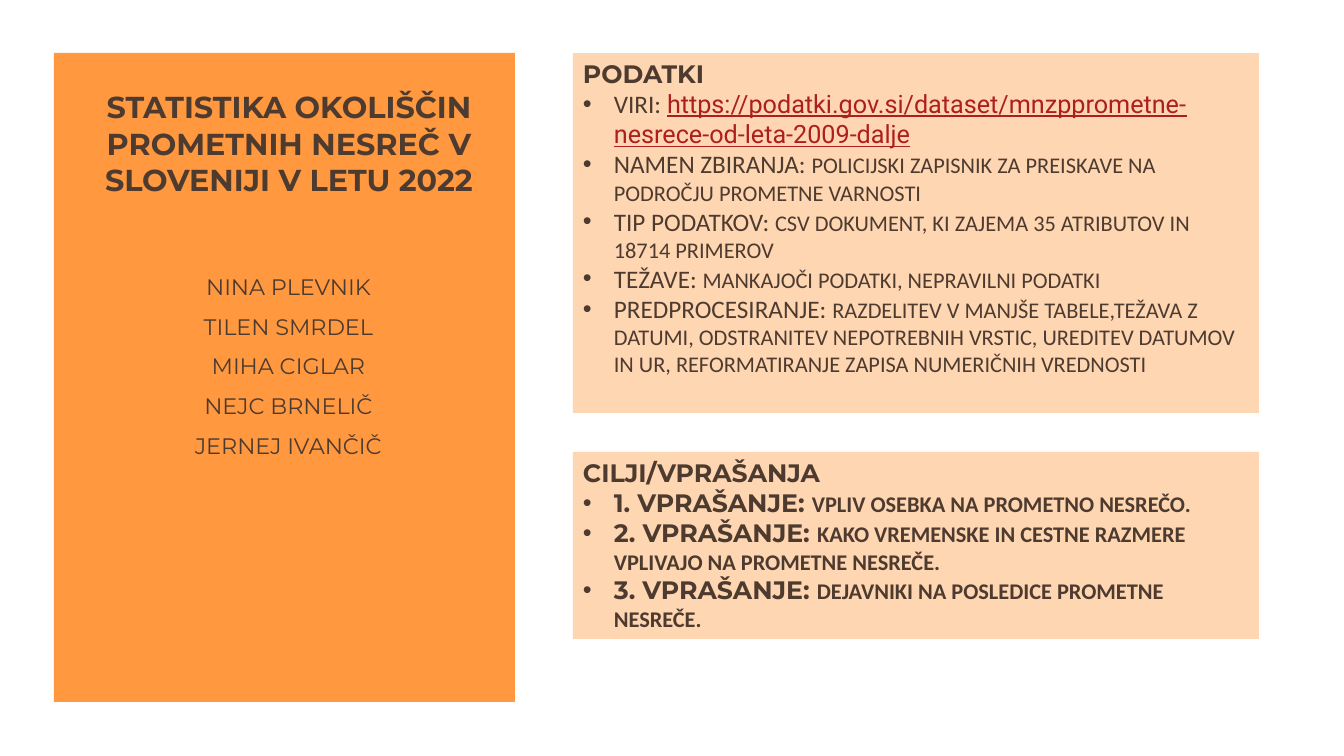
"""Builds the slide about the circumstances of traffic accidents in Slovenia in 2022."""
from lxml.etree import SubElement
from pptx import Presentation
from pptx.dml.color import RGBColor
from pptx.enum.shapes import MSO_SHAPE
from pptx.enum.text import MSO_ANCHOR, PP_ALIGN
from pptx.oxml.ns import qn
from pptx.util import Emu, Pt

SCALE = 914400 / 100.8
BROWN, RED, ORANGE, PEACH = "4E3B30", "AD1F1F", "FF983E", "FFD6B2"
INDENT = 31

HEADING = {"name": "Montserrat", "size": Pt(18), "bold": True}
LABEL = {"name": "Calibri", "size": Pt(18)}
DETAIL = {"name": "Calibri", "size": Pt(16)}
STRONG_DETAIL = {**DETAIL, "bold": True}
LINK = {"name": "Roboto", "size": Pt(18), "underline": True}
TITLE = {**HEADING, "size": Pt(21.6)}
AUTHOR = {"name": "Montserrat", "size": Pt(16)}

TITLE_TEXT = "STATISTIKA OKOLIŠČIN PROMETNIH NESREČ V SLOVENIJI V LETU 2022"
AUTHORS = ["NINA PLEVNIK", "TILEN SMRDEL", "MIHA CIGLAR", "NEJC BRNELIČ", "JERNEJ IVANČIČ"]
DATA_ITEMS = [
    ("VIRI: ", "https://podatki.gov.si/dataset/mnzpprometne-nesrece-od-leta-2009-dalje"),
    ("NAMEN ZBIRANJA: ", "POLICIJSKI ZAPISNIK ZA PREISKAVE NA PODROČJU PROMETNE VARNOSTI"),
    ("TIP PODATKOV: ", "CSV DOKUMENT, KI ZAJEMA 35 ATRIBUTOV IN 18714 PRIMEROV"),
    ("TEŽAVE: ", "MANKAJOČI PODATKI, NEPRAVILNI PODATKI"),
    ("PREDPROCESIRANJE: ", "RAZDELITEV V MANJŠE TABELE,TEŽAVA Z DATUMI, ODSTRANITEV NEPOTREBNIH "
     "VRSTIC, UREDITEV DATUMOV IN UR, REFORMATIRANJE ZAPISA NUMERIČNIH VREDNOSTI"),
]
QUESTIONS = [
    "VPLIV OSEBKA NA PROMETNO NESREČO.",
    "KAKO VREMENSKE IN CESTNE RAZMERE VPLIVAJO NA PROMETNE NESREČE.",
    "DEJAVNIKI NA POSLEDICE PROMETNE NESREČE.",
]
DATA_LINES = [
    [(label, LABEL), (detail, LINK if detail.startswith("https") else DETAIL)]
    for label, detail in DATA_ITEMS
]
QUESTION_LINES = [
    [(f"{number}. VPRAŠANJE: ", HEADING), (question, STRONG_DETAIL)]
    for number, question in enumerate(QUESTIONS, 1)
]
CARDS = [
    ((573, 53, 686, 360), "PODATKI", DATA_LINES),
    ((573, 452, 686, 187), "CILJI/VPRAŠANJA", QUESTION_LINES),
]


def pixels(value):
    return Emu(round(value * SCALE))


def color(value):
    return RGBColor.from_string(value)


def add_panel(slide, box, fill):
    shape = slide.shapes.add_shape(MSO_SHAPE.RECTANGLE, *map(pixels, box))
    shape.shadow.inherit = False
    shape.fill.solid()
    shape.fill.fore_color.rgb = color(fill)
    shape.line.fill.background()
    return shape


def write_lines(shape, lines, anchor, paragraph_format):
    frame = shape.text_frame
    frame.word_wrap = True
    frame.vertical_anchor = anchor
    for index, runs in enumerate(lines):
        paragraph = frame.add_paragraph() if index else frame.paragraphs[0]
        for name, value in paragraph_format.items():
            setattr(paragraph, name, value)
        for text, font_format in runs:
            run = paragraph.add_run()
            run.text = text
            run.font.color.rgb = color(RED if font_format is LINK else BROWN)
            for name, value in font_format.items():
                setattr(run.font, name, value)


def add_bullet(paragraph):
    properties = paragraph._p.get_or_add_pPr()
    properties.set("marL", str(pixels(INDENT)))
    properties.set("indent", str(-pixels(INDENT)))
    SubElement(properties, qn("a:buFont")).set("typeface", "Arial")
    SubElement(properties, qn("a:buChar")).set("char", "•")


presentation = Presentation()
presentation.slide_width, presentation.slide_height = pixels(1344), pixels(756)
slide = presentation.slides.add_slide(presentation.slide_layouts[6])

add_panel(slide, (54, 53, 461, 649), ORANGE)
centered = {"alignment": PP_ALIGN.CENTER}
title = slide.shapes.add_textbox(*map(pixels, (74, 76, 430, 134)))
write_lines(title, [[(TITLE_TEXT, TITLE)]], MSO_ANCHOR.MIDDLE, centered)
authors = slide.shapes.add_textbox(*map(pixels, (161, 243, 255, 246)))
write_lines(authors, [[(author, AUTHOR)] for author in AUTHORS], MSO_ANCHOR.MIDDLE,
            {**centered, "space_before": Pt(3.2), "space_after": Pt(6)})

for box, heading, lines in CARDS:
    card = add_panel(slide, box, PEACH)
    write_lines(card, [[(heading, HEADING)], *lines], MSO_ANCHOR.TOP, {"alignment": PP_ALIGN.LEFT})
    for paragraph in card.text_frame.paragraphs[1:]:
        add_bullet(paragraph)

presentation.save("out.pptx")
